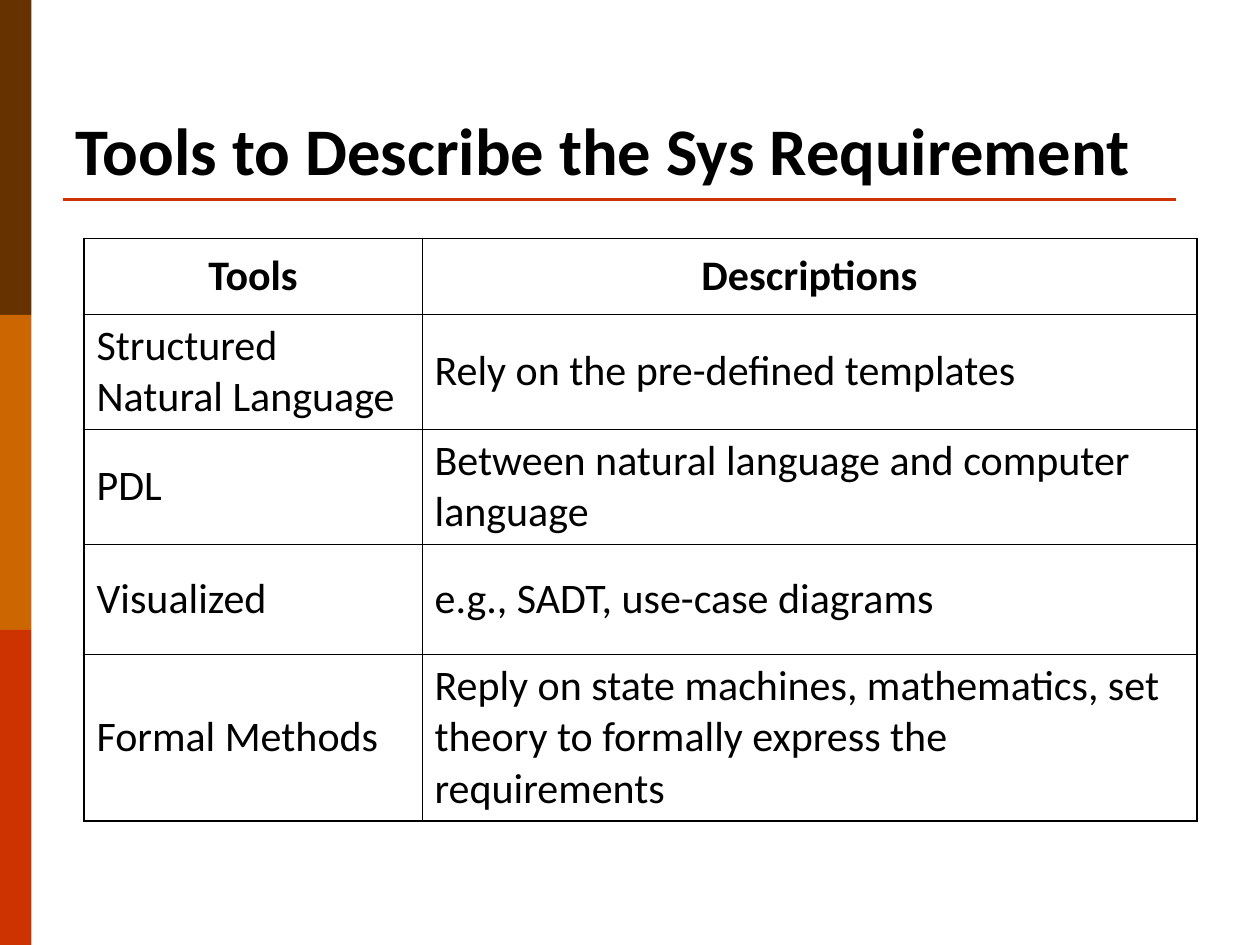
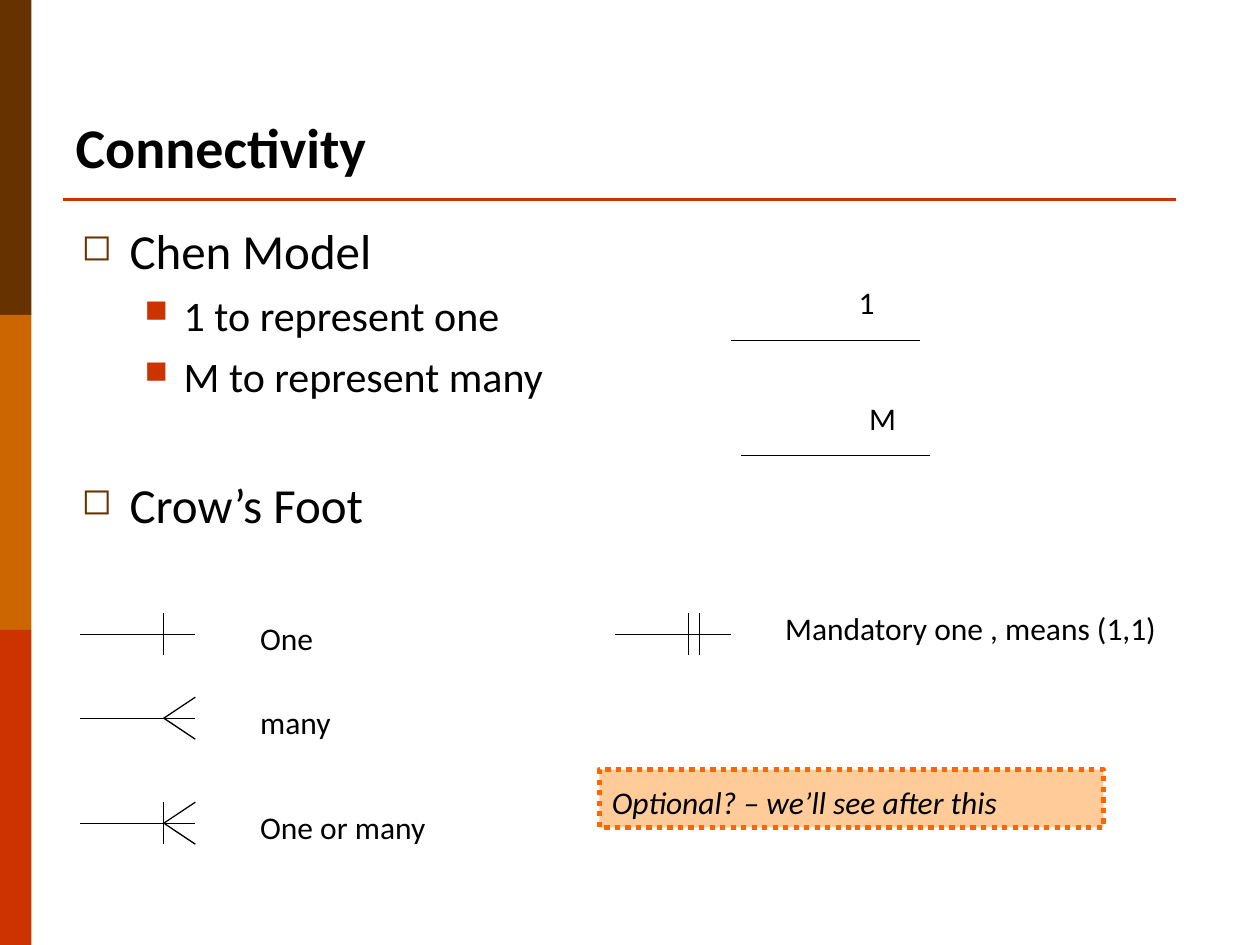
from lxml.etree import SubElement
from pptx import Presentation
from pptx.dml.color import RGBColor
from pptx.enum.dml import MSO_LINE
from pptx.enum.shapes import MSO_CONNECTOR as Connector, MSO_SHAPE as Shape
from pptx.enum.text import MSO_ANCHOR as Anchor, MSO_AUTO_SIZE as AutoSize, PP_ALIGN as Align
from pptx.oxml.ns import qn
from pptx.util import Inches, Pt

COLORS = {
    "text": "000000",
    "brown": "663300",
    "ochre": "CC6600",
    "red": "CC3300",
    "note_fill": "FFCC99",
    "note_line": "FF6600",
}
FONT = "Calibri"
COLUMNS, ROWS = 120, 90  # grid of the whole slide, twelve cells to the inch
OUTER_BORDER, INNER_BORDER = 1.08, 0.45

TOOLS = [
    ("Tools", "Descriptions"),
    ("Structured Natural Language", "Rely on the pre-defined templates"),
    ("PDL", "Between natural language and computer language"),
    ("Visualized", "e.g., SADT, use-case diagrams"),
    ("Formal Methods", "Reply on state machines, mathematics, set theory "
                       "to formally express the requirements"),
]
# Text, level, space before in points
CONNECTIVITY = [
    ("Chen Model", 0, 0),
    ("1 to represent one", 1, 6),
    ("M to represent many", 1, 6),
    ("Crow’s Foot", 0, 42),
]
# Symbol, colour, left margin and hanging indent in inches, text size
BULLETS = [("◻", "brown", 0.38, 0.38, 28), ("■", "red", 0.81, 0.31, 24)]


def grid(cells):
    return Inches(cells / 12)


def area(*cells):
    return [grid(cell) for cell in cells]


def rgb(name):
    return RGBColor.from_string(COLORS[name])


def set_font(paragraph, size, bold=False, italic=False):
    font = paragraph.font
    font.name, font.size = FONT, Pt(size)
    font.bold, font.italic = bold, italic
    font.color.rgb = rgb("text")


# Elements
def add_line(page, start, end, color="text", width=0.75):
    line = page.shapes.add_connector(Connector.STRAIGHT, *area(*start, *end))
    line.line.color.rgb = rgb(color)
    line.line.width = Pt(width)
    SubElement(line._element.spPr, qn("a:effectLst"))


def add_rectangle(page, place, fill):
    box = page.shapes.add_shape(Shape.RECTANGLE, *area(*place))
    box.shadow.inherit = False
    box.fill.solid()
    box.fill.fore_color.rgb = rgb(fill)
    box.line.fill.background()
    return box


def add_label(page, left, top, width, text):
    box = page.shapes.add_textbox(*area(left, top, width, 4.8))
    box.text_frame.word_wrap = True
    box.text_frame.text = text
    set_font(box.text_frame.paragraphs[0], 18)


def add_page(deck, title, place, size):
    """Add a slide with the side bands, the rule and its title."""
    page = deck.slides.add_slide(deck.slide_layouts[5])
    band = ROWS / 3
    for number, color in enumerate(("brown", "ochre", "red")):
        add_rectangle(page, (0, number * band, 3, band), color)
    add_line(page, (6, 19), (112, 19), "red", 1.5)

    box = page.shapes.title
    box.left, box.top, box.width, box.height = area(*place)
    frame = box.text_frame
    frame.text = title
    frame.auto_size = AutoSize.NONE
    frame.vertical_anchor = Anchor.BOTTOM
    frame.paragraphs[0].alignment = Align.LEFT
    set_font(frame.paragraphs[0], size, bold=True)
    return page


def set_borders(cell, widths):
    properties = cell._tc.get_or_add_tcPr()
    for side, width in zip("LRTB", widths):
        border = SubElement(properties, qn(f"a:ln{side}"), w=str(Pt(width)))
        fill = SubElement(border, qn("a:solidFill"))
        SubElement(fill, qn("a:srgbClr"), val=COLORS["text"])


def add_grid_table(page, left, top, widths, heights, rows):
    frame = page.shapes.add_table(
        len(heights), len(widths), *area(left, top, sum(widths), sum(heights)))
    table = frame.table
    table.first_row = table.horz_banding = False
    for column, width in zip(table.columns, widths):
        column.width = grid(width)
    for row, height in zip(table.rows, heights):
        row.height = grid(height)
    last_row, last_column = len(heights) - 1, len(widths) - 1
    for r, texts in enumerate(rows):
        for c, text in enumerate(texts):
            cell = table.cell(r, c)
            edges = (c == 0, c == last_column, r == 0, r == last_row)
            set_borders(cell, [OUTER_BORDER if edge else INNER_BORDER for edge in edges])
            cell.fill.background()
            cell.vertical_anchor = Anchor.MIDDLE
            cell.text = text
            para = cell.text_frame.paragraphs[0]
            para.alignment = Align.CENTER if r == 0 else Align.LEFT
            set_font(para, 24, bold=r == 0)


def add_bullet(para, symbol, color, margin, hang):
    properties = para._p.get_or_add_pPr()
    properties.set("marL", str(Inches(margin)))
    properties.set("indent", str(-Inches(hang)))
    bullet_color = SubElement(properties, qn("a:buClr"))
    SubElement(bullet_color, qn("a:srgbClr"), val=COLORS[color])
    SubElement(properties, qn("a:buSzPct"), val="75000")
    SubElement(properties, qn("a:buChar"), char=symbol)


def add_bullet_list(page, place, items):
    frame = page.shapes.add_textbox(*area(*place)).text_frame
    frame.word_wrap = True
    for number, (text, level, space) in enumerate(items):
        para = frame.add_paragraph() if number else frame.paragraphs[0]
        para.text = text
        para.level = level
        *bullet, size = BULLETS[level]
        add_bullet(para, *bullet)
        para.space_before = Pt(space)
        set_font(para, size)


def add_chen_line(page, left, y, text):
    add_line(page, (left, y), (left + 18, y))
    add_label(page, left + 11, y - 6, 9, text)


def add_crow_foot(page, left, y, bars=(), fork=False):
    """Draw a stem with upright bars and, for many, a two-pronged fork."""
    joint, end, reach = left + 8, left + 11, 2
    add_line(page, (left, y), (end, y))
    for bar in bars:
        add_line(page, (left + bar, y - reach), (left + bar, y + reach))
    if fork:
        for tip in (y - reach, y + reach):
            add_line(page, (joint, y), (end, tip))


def add_note(page, place, text):
    box = add_rectangle(page, place, "note_fill")
    box.line.color.rgb = rgb("note_line")
    box.line.width = Pt(3)
    box.line.dash_style = MSO_LINE.ROUND_DOT
    frame = box.text_frame
    frame.word_wrap = True
    frame.vertical_anchor = Anchor.TOP
    frame.text = text
    para = frame.paragraphs[0]
    para.alignment = Align.LEFT
    para.line_spacing = 1.2
    set_font(para, 18, italic=True)


# Slides
def build_tools(deck):
    page = add_page(deck, "Tools to Describe the Sys Requirement", (6, 3.6, 108, 15), 38)
    add_grid_table(page, 8, 22.7, (32.2, 73.8), (7.2, 10.8, 10.8, 10.5, 15.6), TOOLS)


def build_connectivity(deck):
    page = add_page(deck, "Connectivity", (6, 8.2, 108, 9.5), 32)
    add_bullet_list(page, (6.6, 20.4, 112, 69), CONNECTIVITY)

    # Chen notation
    add_chen_line(page, 69.6, 32.4, "1")
    add_chen_line(page, 70.6, 43.4, "M")

    # Crow's foot notation
    left = 7.6
    for y, text, bars, fork in (
        (60.4, "One", (8,), False),
        (68.4, "many", (), True),
        (78.4, "One or many", (8,), True),
    ):
        add_crow_foot(page, left, y, bars, fork)
        add_label(page, left + 16, y - 2, 25, text)
    add_crow_foot(page, 58.6, 60.4, bars=(7, 8))
    add_label(page, 73.6, 57.4, 43, "Mandatory one , means (1,1)")

    add_note(page, (57.1, 73.3, 48, 5.5), "Optional? – we’ll see after this")


def main():
    deck = Presentation()
    deck.slide_width, deck.slide_height = area(COLUMNS, ROWS)
    build_tools(deck)
    build_connectivity(deck)
    deck.save("out.pptx")


if __name__ == "__main__":
    main()
